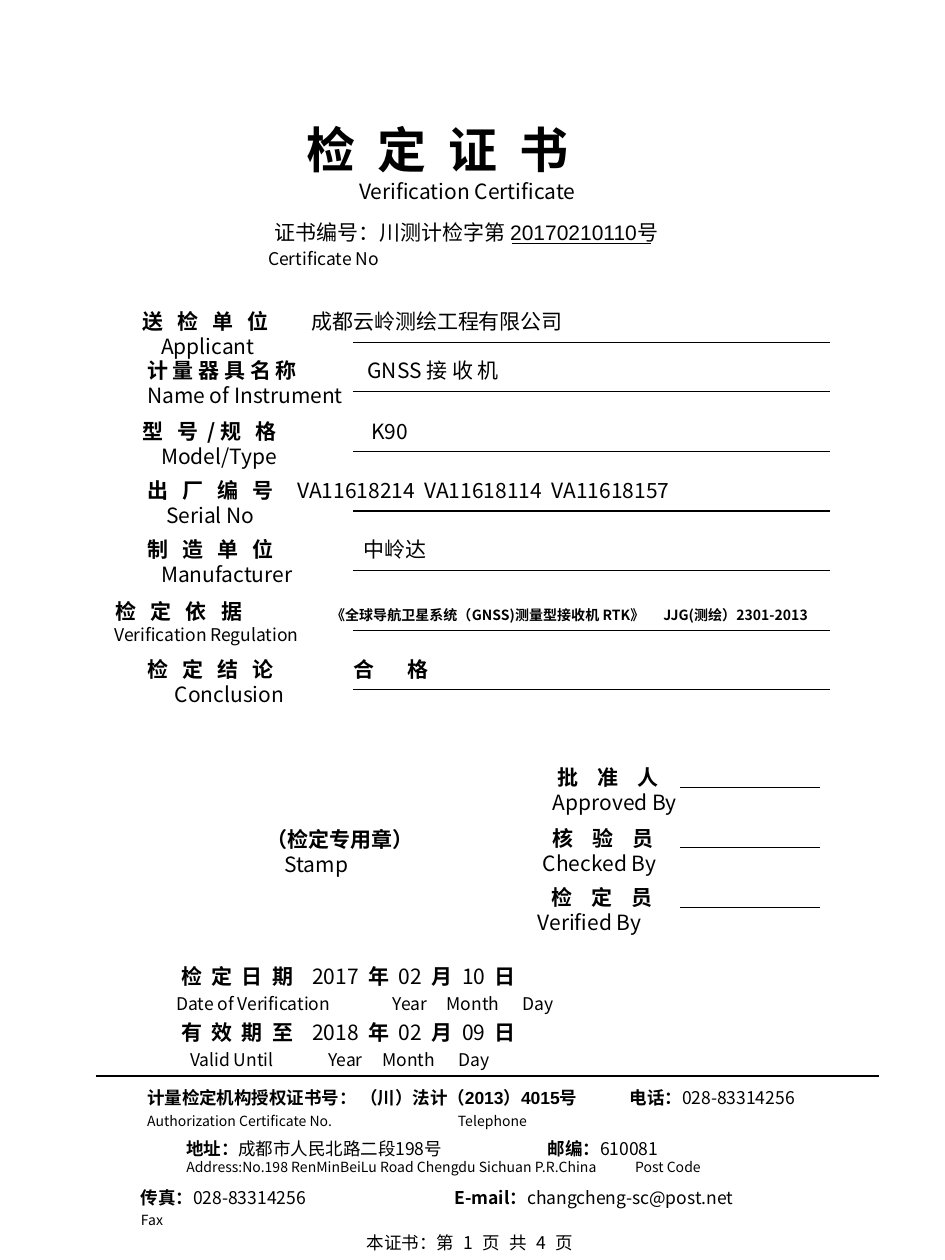
from lxml import etree
from pptx import Presentation
from pptx.dml.color import RGBColor
from pptx.enum import shapes, text
from pptx.oxml.ns import qn
from pptx.util import Inches, Pt

BLACK = RGBColor(0, 0, 0)
SANS, ARIAL = "Noto Sans CJK SC", "Arial"
PAD = 0.1      # side inset of every box
PITCH = 1.2    # line height per point of text
SPACE = 0.224  # width of a space per point of text

BOLD = {"bold": True}
PLAIN = {}
MID = {"size": Pt(10)}
MIDB = {"size": Pt(10), "bold": True}
TINY = {"size": Pt(8)}
TINYB = {"size": Pt(8), "bold": True}
AR = {"name": ARIAL}

deck = Presentation()
deck.slide_width, deck.slide_height = Inches(7.5), Inches(10)
slide = deck.slides.add_slide(deck.slide_layouts[5])


def fill(box, at, rows, align=text.PP_ALIGN.LEFT, anchor=text.MSO_ANCHOR.TOP):
    """Set rows of (line size, pieces); a piece is (place, words, font, tracking).

    The first place of a row is its left edge on the slide in inches. A later
    one is the gap before the piece in space widths, or None for no gap; the
    gap is one space, widened by its tracking.
    """
    box.left, box.top, box.width, box.height = map(Inches, at)
    frame = box.text_frame
    look = {"word_wrap": True, "auto_size": text.MSO_AUTO_SIZE.NONE, "vertical_anchor": anchor,
            "margin_left": Inches(PAD), "margin_right": Inches(PAD),
            "margin_top": Inches(0.05), "margin_bottom": Inches(0.05)}
    for key, val in look.items():
        setattr(frame, key, val)
    for i, (size, parts) in enumerate(rows):
        para = frame.paragraphs[0] if i == 0 else frame.add_paragraph()
        para.alignment = align
        para.line_spacing = Pt(size * PITCH)
        para.space_before = para.space_after = Pt(0)
        props = para._p.get_or_add_pPr()
        props.set("marL", str(Inches(max(0, (parts[0][0] or 0) - at[0] - PAD))))
        props.set("indent", "0")
        runs = []
        for j, (place, words, style, *track) in enumerate(parts):
            font = {"name": SANS, "size": Pt(12), "bold": False, **style}
            if j and place is not None:
                runs.append((" ", font, (place - 1) * SPACE * font["size"].pt))
            runs.append((words, font, track[0] if track else 0))
        for words, font, track in runs:
            run = para.add_run()
            run.text = words
            for key, val in font.items():
                setattr(run.font, key, val)
            run.font.color.rgb = BLACK
            etree.SubElement(run.font._element, qn("a:ea"), typeface=SANS)
            if track:
                run.font._element.set("spc", str(round(track * 100)))


def rule(x, y, end, width=0.75):
    line = slide.shapes.add_connector(shapes.MSO_CONNECTOR.STRAIGHT,
                                      Inches(x), Inches(y), Inches(end), Inches(y))
    line.line.color.rgb = BLACK
    line.line.width = Pt(width)
    etree.SubElement(line._element.spPr, qn("a:effectLst"))


# Heading
fill(slide.shapes.title, (2.33, 0.9, 3.7, 0.77), [
    (28, [(2.43, "检 定 证 书", {"size": Pt(28), "bold": True}, 3.14)]),
    (12, [(2.85, "Verification Certificate", PLAIN)])])

# Fields: box, Chinese label (x, words, tracking), English label (x, words), values
fields = [
    ((0.99, 2.4, 5.59, 0.5), (1.13, "送 检 单 位", 2.69), (1.28, "Applicant"),
     [(8, "成都云岭测绘工程有限公司", PLAIN)]),
    ((1.07, 2.79, 5.04, 0.5), (1.17, "计 量 器 具 名 称", 0), (1.17, "Name of Instrument"),
     [(15, "GNSS 接 收 机", PLAIN)]),
    ((0.99, 3.27, 5.43, 0.5), (1.13, "型 号", 2.69), (1.28, "Model/Type"),
     [(0, "/", BOLD), (1, "规 格", BOLD, 2.69), (19, "K90", PLAIN)]),
    ((1.07, 3.74, 6.14, 0.7), (1.17, "出 厂 编 号", 2.69), (1.32, "Serial No"),
     [(4, "VA11618214", PLAIN), (2, "VA11618114", PLAIN), (2, "VA11618157", PLAIN)]),
    ((1.07, 4.21, 5.51, 0.5), (1.17, "制 造 单 位", 2.69), (1.28, "Manufacturer"),
     [(18, "中岭达", PLAIN)]),
    ((1.07, 5.16, 4.96, 0.5), (1.17, "检 定 结 论", 2.69), (1.39, "Conclusion"),
     [(16, "合", BOLD), (7, "格", BOLD)]),
    # Signatures
    ((4.22, 6.02, 1.5, 0.5), (4.43, "批 准 人", 4.03), (4.39, "Approved By"), []),
    ((4.06, 6.5, 1.41, 0.5), (4.39, "核 验 员", 4.03), (4.31, "Checked By"), []),
    ((3.99, 6.97, 1.73, 0.5), (4.38, "检 定 员", 4.03), (4.27, "Verified By"), []),
    ((2.02, 6.51, 1.4, 0.5), (2.12, "（检定专用章）", 0), (2.26, "Stamp"), []),
]
for at, (x, label, track), (left, name), values in fields:
    fill(slide.shapes.add_textbox(0, 0, 0, 0), at, [
        (12, [(x, label, BOLD, track)] + values), (12, [(left, name, PLAIN)])])

# Dates
dates = [
    (7.6, "检 定 日 期", "2017", "10", 1.4, "Date of Verification", 16),
    (8.04, "有 效 期 至", "2018", "09", 1.51, "Valid Until", 14),
]
for top, label, year, day, left, name, gap in dates:
    upper = [(1.44, label, BOLD, 1.34), (3.5, year, PLAIN)]
    upper += [(2, w, PLAIN if w.isdigit() else BOLD) for w in ("年", "02", "月", day, "日")]
    lower = [(left, name, MID), (gap, "Year", MID), (5, "Month", MID), (6, "Day", MID)]
    fill(slide.shapes.add_textbox(0, 0, 0, 0), (1.15, top, 5.12, 0.5), [(12, upper), (12, lower)])

# Number, regulation and contact lines
notes = [
    ((1.94, 1.69, 4.02, 0.5), [
        (12, [(2.18, "证书编号：川测计检字第 20170210110号", AR)]),
        (12, [(2.13, "Certificate No", MID)])]),
    ((0.6, 4.7, 2.91, 0.47), [
        (12, [(0.92, "检 定 依 据", BOLD, 2.69)]),
        (10, [(0.91, "Verification Regulation", MID)])]),
    ((1.07, 8.58, 5.67, 0.44), [
        (10, [(1.17, "计量检定机构授权证书号： ", MIDB),
              (None, "（川）法计（2013）4015号", {**AR, **MIDB}),
              (13.4, "电话：", MIDB), (None, "028-83314256", MID)]),
        (10, [(1.17, "Authorization Certificate No.", TINY), (40, "Telephone", TINY)])]),
    ((1.38, 8.98, 4.31, 0.4), [
        (10, [(1.48, "地址：", MIDB), (None, "成都市人民北路二段198号", MID),
              (27, "邮编：", MIDB), (None, "610081", MID)]),
        (8, [(1.48, "Address:No.198 RenMinBeiLu Road Chengdu Sichuan P.R.China", TINY),
             (12, "Post Code", TINY)])]),
    ((0.99, 9.37, 6.51, 0.44), [
        (10, [(1.12, "传真：", MIDB), (None, "028-83314256", MID),
              (38, "E-mail：", MIDB), (None, "changcheng-sc@post.net", MID)]),
        (10, [(1.12, "Fax", TINY)])]),
]
for at, rows in notes:
    fill(slide.shapes.add_textbox(0, 0, 0, 0), at, rows)

fill(slide.shapes.add_textbox(0, 0, 0, 0), (2.53, 4.63, 4.4, 0.37), [
    (8, [(2.63, "《全球导航卫星系统（GNSS)测量型接收机 RTK》", TINYB),
         (6, "JJG(测绘）2301-2013", TINYB)])],
     anchor=text.MSO_ANCHOR.BOTTOM)

fill(slide.shapes.add_textbox(0, 0, 0, 0), (2.53, 9.73, 2.4, 0.27), [
    (10, [(None, "本证书：", {**AR, **MID}), (None, "第 1 页 共 4 页", MID, 1.6)])],
     align=text.PP_ALIGN.CENTER)

# Rules
rule(0.76, 8.54, 6.98, 1.5)
rule(4.06, 1.93, 5.17)
rule(2.8, 2.72, 6.59)
for n in range(6):
    rule(2.8, 3.11 + n * 0.473, 6.59)
for n in range(3):
    rule(5.4, 6.25 + n * 0.475, 6.51)

deck.save("out.pptx")
